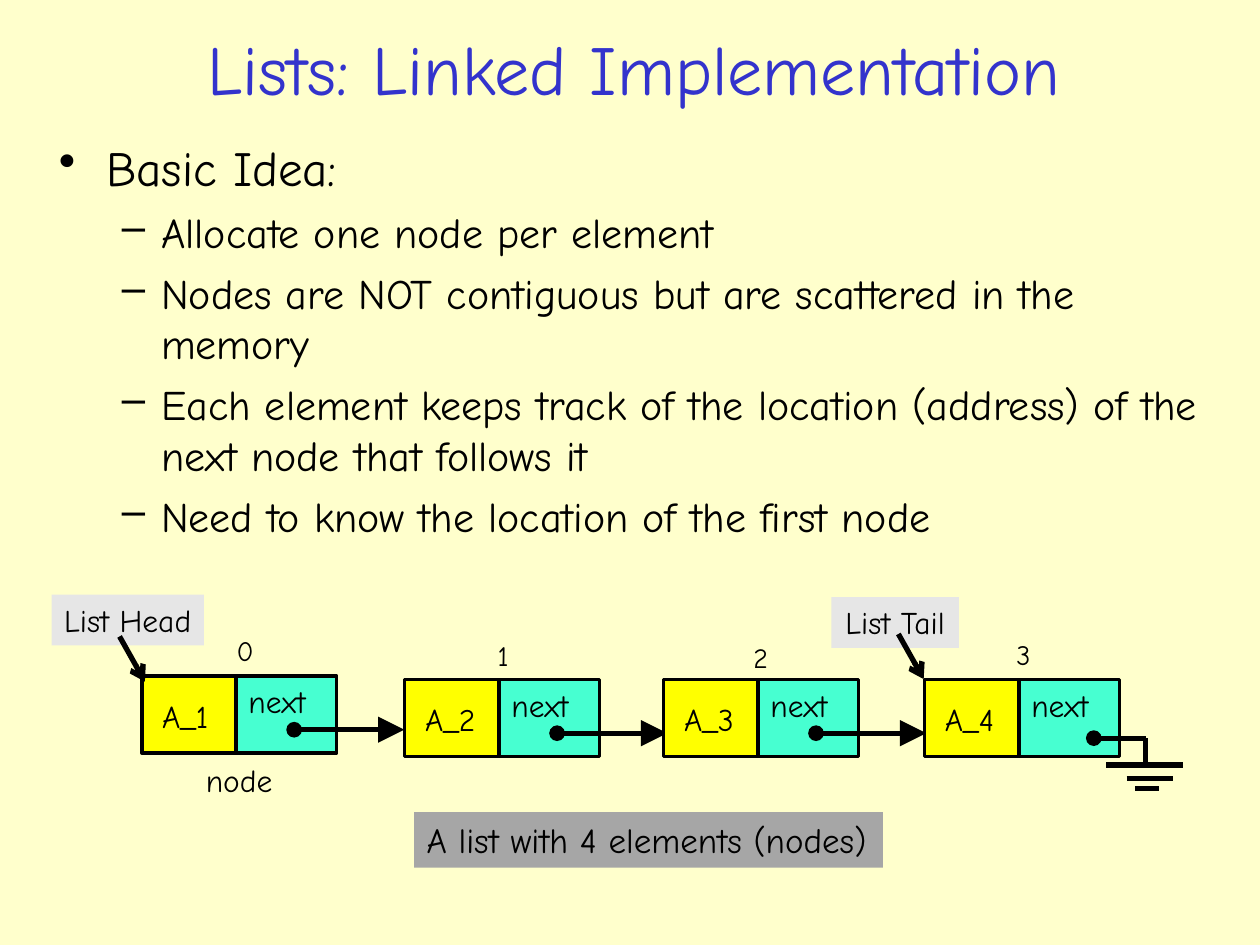
from dataclasses import dataclass
from typing import Optional

from lxml.etree import SubElement
from pptx import Presentation
from pptx.dml.color import RGBColor as Rgb
from pptx.enum.shapes import MSO_CONNECTOR as Conn, MSO_SHAPE as Kind
from pptx.enum.text import MSO_ANCHOR as Anchor, MSO_AUTO_SIZE as Fit, PP_ALIGN as Align
from pptx.oxml.ns import qn
from pptx.util import Cm, Pt

FONT = "Comic Neue"
COLORS = {"page": "FFFFCC", "title": "3333CC", "ink": "000000", "tag": "E6E6E6",
          "note": "A6A6A6", "data": "FFFF00", "next": "47FFD1"}
DATA_W, NEXT_W, NODE_H = 1.9, 2.03, 1.55


@dataclass
class Label:
    text: str
    x: float
    y: float
    w: float
    h: float
    size: int = 18
    align: Align = Align.LEFT
    fill: Optional[str] = None
    edge: bool = False
    color: str = "ink"
    wrap: bool = False
    anchor: Anchor = Anchor.TOP


@dataclass
class Line:
    x1: float
    y1: float
    x2: float
    y2: float
    head: Optional[str] = None
    tail: Optional[str] = None


@dataclass
class Node:
    name: str
    x: float
    y: float
    num_x: float
    num_y: float
    num_w: float


@dataclass
class Point:
    text: str
    size: int
    mark: str
    left: float
    hang: float
    gap: int


NODES = [Node("A_1", 2.86, 13.63, 4.52, 12.65, 0.84),
         Node("A_2", 8.16, 13.7, 9.78, 12.75, 0.74),
         Node("A_3", 13.38, 13.7, 14.94, 12.78, 0.79),
         Node("A_4", 18.64, 13.7, 20.24, 12.73, 0.79)]

IDEAS = ["Allocate one node per element",
         "Nodes are NOT contiguous but are scattered in the memory",
         "Each element keeps track of the location (address) of the next node that follows it",
         "Need to know the location of the first node"]

POINTS = [Point("Basic Idea:", 28, "•", 0.95, 0.95, 0)]
POINTS += [Point(idea, 24, "–", 2.06, 0.79, 6) for idea in IDEAS]

TAGS = [Label("List Head", 1.04, 11.99, 3.07, 1.02, align=Align.CENTER, fill="tag"),
        Label("List Tail", 16.76, 12.04, 2.57, 1.02, align=Align.CENTER, fill="tag"),
        Label("A list with 4 elements (nodes)", 8.35, 16.37, 9.45, 1.12, 20, fill="note"),
        Label("node", 3.87, 15.21, 1.9, 1.02, align=Align.CENTER)]

LINES = [Line(23.09, 14.88, 23.09, 15.42),
         Line(22.3, 15.42, 23.85, 15.42),
         Line(22.71, 15.7, 23.65, 15.7),
         Line(22.89, 15.9, 23.37, 15.9),
         Line(22.05, 14.88, 23.11, 14.88, head="oval"),
         Line(2.41, 12.83, 2.92, 13.74, tail="arrow"),
         Line(18.11, 12.78, 18.62, 13.69, tail="arrow")]


def hue(name: str) -> Rgb:
    """Return a named colour."""
    return Rgb.from_string(COLORS[name])


def style(para, size: int, color: str) -> None:
    """Format the runs of a paragraph."""
    for run in para.runs:
        run.font.name = FONT
        run.font.size = Pt(size)
        run.font.color.rgb = hue(color)


def put_label(slide, item: Label) -> None:
    """Draw a text box or a filled box."""
    area = Cm(item.x), Cm(item.y), Cm(item.w), Cm(item.h)
    if item.fill:
        box = slide.shapes.add_shape(Kind.RECTANGLE, *area)
        box.shadow.inherit = False
        box.fill.solid()
        box.fill.fore_color.rgb = hue(item.fill)
        if item.edge:
            box.line.color.rgb = hue("ink")
            box.line.width = Pt(2)
        else:
            box.line.fill.background()
    else:
        box = slide.shapes.add_textbox(*area)
    frame = box.text_frame
    frame.word_wrap = item.wrap
    frame.auto_size = Fit.NONE if item.wrap else Fit.SHAPE_TO_FIT_TEXT
    frame.vertical_anchor = item.anchor
    if item.text:
        frame.text = item.text
        frame.paragraphs[0].alignment = item.align
        style(frame.paragraphs[0], item.size, item.color)


def put_line(slide, item: Line) -> None:
    """Draw a line with optional end marks."""
    line = slide.shapes.add_connector(
        Conn.STRAIGHT, Cm(item.x1), Cm(item.y1), Cm(item.x2), Cm(item.y2))
    line.line.color.rgb = hue("ink")
    line.line.width = Pt(3)
    props = line._element.spPr
    for tag, mark in (("a:headEnd", item.head), ("a:tailEnd", item.tail)):
        if mark:
            size = "lg" if mark == "triangle" else "med"
            SubElement(props.find(qn("a:ln")), qn(tag), type=mark, w=size, len=size)
    SubElement(props, qn("a:effectLst"))


def put_node(slide, node: Node, last: bool) -> None:
    """Draw a list node, its index and its link."""
    x, y = node.x, node.y
    put_label(slide, Label("next", x + DATA_W, y, NEXT_W, NODE_H,
                           fill="next", edge=True, wrap=True))
    put_label(slide, Label("", x, y, DATA_W, NODE_H, fill="data", edge=True, wrap=True))
    put_label(slide, Label(node.name, x + 0.16, y + 0.29, 1.65, 1.02))
    put_label(slide, Label(str(NODES.index(node)), node.num_x, node.num_y,
                           node.num_w, 0.94, 16))
    if not last:
        put_line(slide, Line(x + 3.07, y + 1.08, x + 5.29, y + 1.08, "oval", "triangle"))


def put_points(slide) -> None:
    """Write the bulleted text."""
    frame = slide.shapes.add_textbox(Cm(0.94), Cm(2.64), Cm(23.47), Cm(8.81)).text_frame
    frame.word_wrap = True
    frame.text = "\n".join(point.text for point in POINTS)
    for para, point in zip(frame.paragraphs, POINTS):
        props = para._p.get_or_add_pPr()
        props.set("marL", str(Cm(point.left)))
        props.set("indent", str(-Cm(point.hang)))
        tint = SubElement(props, qn("a:buClr"))
        SubElement(tint, qn("a:srgbClr"), val=COLORS["ink"])
        SubElement(props, qn("a:buChar"), char=point.mark)
        para.space_before = Pt(point.gap)
        style(para, point.size, "ink")


def main() -> None:
    """Build and save the slide."""
    deck = Presentation()
    deck.slide_width, deck.slide_height = Cm(25.4), Cm(19.05)
    slide = deck.slides.add_slide(deck.slide_layouts[6])
    slide.background.fill.solid()
    slide.background.fill.fore_color.rgb = hue("page")
    put_label(slide, Label("Lists: Linked Implementation", 0.89, 0.4, 23.77, 1.93, 40,
                           Align.CENTER, color="title", wrap=True, anchor=Anchor.MIDDLE))
    put_points(slide)
    for tag in TAGS:
        put_label(slide, tag)
    for node in NODES:
        put_node(slide, node, node is NODES[-1])
    for line in LINES:
        put_line(slide, line)
    deck.save("out.pptx")


if __name__ == "__main__":
    main()
